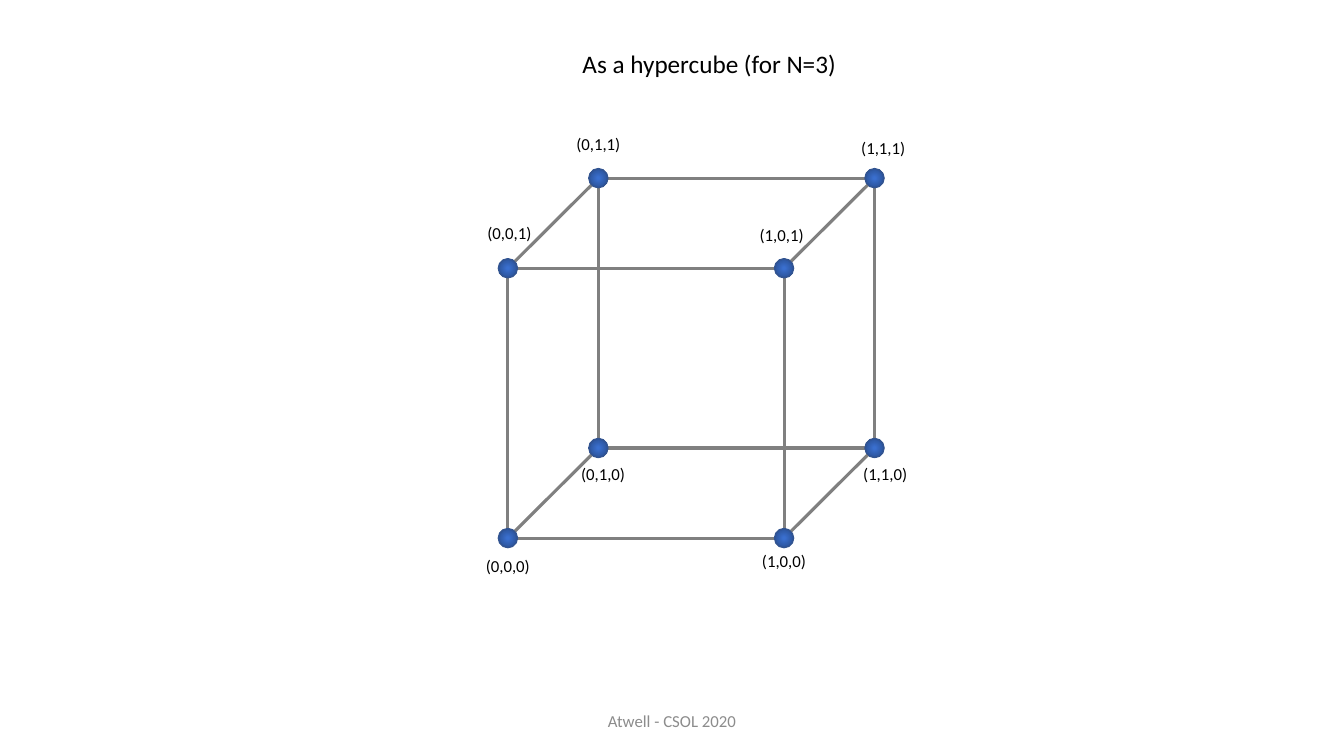
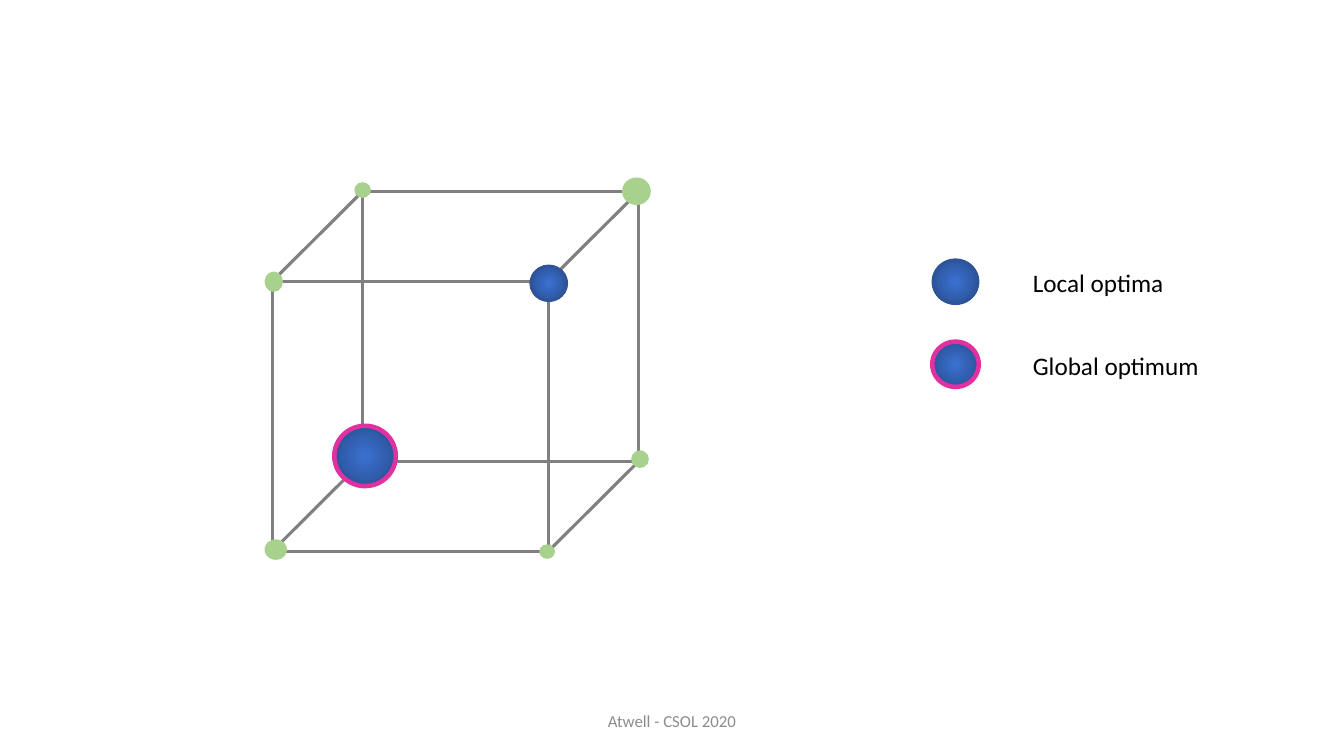
import itertools

import lxml.etree
import pptx
import pptx.dml.color
import pptx.enum.shapes
import pptx.enum.text
import pptx.oxml.ns
import pptx.util

Cm = pptx.util.Cm
Pt = pptx.util.Pt
qn = pptx.oxml.ns.qn
ALIGN = pptx.enum.text.PP_ALIGN
ANCHOR = pptx.enum.text.MSO_ANCHOR

FONT = "Calibri"
COLOURS = {
    "text": "000000",
    "footer": "8C8C8C",
    "edge": "808080",
    "optimum line": "325491",
    "global line": "E130A0",
    "ordinary": "A9D18E",
}
OPTIMUM_GRADIENT = [(9, "3A6FCE"), (50, "315EAD"), (100, "23427A")]

# Cube geometry in centimetres: the step along each axis on the slide
AXIS_STEPS = [(6.96, 0), (2.28, -2.27), (0, -6.8)]
VERTICES = list(itertools.product((0, 1), repeat=3))

# Offset of each label's centre from its vertex
LABEL_OFFSETS = {
    (0, 0, 0): (0, 0.69),
    (1, 0, 0): (0, 0.58),
    (0, 1, 0): (0.12, 0.66),
    (1, 1, 0): (0.27, 0.66),
    (0, 0, 1): (0.04, -0.89),
    (1, 0, 1): (-0.06, -0.84),
    (0, 1, 1): (0, -0.86),
    (1, 1, 1): (0.22, -0.76),
}

# Kind, width, height and offset from the vertex
FITNESS_DOTS = {
    (0, 0, 0): ("ordinary", 0.53, 0.48, 0.09, -0.04),
    (1, 0, 0): ("ordinary", 0.36, 0.33, -0.03, 0.01),
    (0, 1, 0): ("global", 1.55, 1.52, 0.06, -0.13),
    (1, 1, 0): ("ordinary", 0.41, 0.41, 0.03, -0.05),
    (0, 0, 1): ("ordinary", 0.43, 0.48, 0.04, 0.01),
    (1, 0, 1): ("local", 0.94, 0.91, 0.01, 0.05),
    (0, 1, 1): ("ordinary", 0.38, 0.36, 0, -0.03),
    (1, 1, 1): ("ordinary", 0.69, 0.66, -0.06, 0),
}


def colour(name):
    return pptx.dml.color.RGBColor.from_string(COLOURS[name])


def add_text(slide, text, left, top, width, height, size=12, name="text",
             align=ALIGN.LEFT, anchor=ANCHOR.TOP, wrap=False):
    box = slide.shapes.add_textbox(Cm(left), Cm(top), Cm(width), Cm(height))
    frame = box.text_frame
    frame.word_wrap = wrap
    frame.vertical_anchor = anchor
    paragraph = frame.paragraphs[0]
    paragraph.alignment = align
    run = paragraph.add_run()
    run.text = text
    run.font.name = FONT
    run.font.size = Pt(size)
    run.font.color.rgb = colour(name)


def add_footer(slide):
    add_text(slide, "Atwell - CSOL 2020", 11.22, 17.66, 11.43, 1.01,
             name="footer", align=ALIGN.CENTER, anchor=ANCHOR.MIDDLE, wrap=True)


def add_edge(slide, start, end):
    line = slide.shapes.add_connector(
        pptx.enum.shapes.MSO_CONNECTOR.STRAIGHT, *map(Cm, start + end))
    line.line.color.rgb = colour("edge")
    line.line.width = Pt(2.25)
    lxml.etree.SubElement(line._element.spPr, qn("a:effectLst"))


def fill_radial(shape, stops):
    """Fill the shape with a gradient running out from its centre."""
    shape.fill.gradient()
    gradient = shape._element.spPr.find(qn("a:gradFill"))
    for child in list(gradient):
        gradient.remove(child)
    stop_list = lxml.etree.SubElement(gradient, qn("a:gsLst"))
    for percent, value in stops:
        stop = lxml.etree.SubElement(stop_list, qn("a:gs"), pos=str(percent * 1000))
        lxml.etree.SubElement(stop, qn("a:srgbClr"), val=value)
    circle = lxml.etree.SubElement(gradient, qn("a:path"), path="circle")
    lxml.etree.SubElement(circle, qn("a:fillToRect"),
                          dict.fromkeys("ltrb", "50000"))


def add_dot(slide, kind, centre, width, height):
    """Draw an ordinary point, a local optimum or the global optimum."""
    x, y = centre
    dot = slide.shapes.add_shape(
        pptx.enum.shapes.MSO_SHAPE.OVAL,
        Cm(x - width / 2), Cm(y - height / 2), Cm(width), Cm(height))
    dot.shadow.inherit = False
    if kind == "ordinary":
        dot.fill.solid()
        dot.fill.fore_color.rgb = colour("ordinary")
    else:
        fill_radial(dot, OPTIMUM_GRADIENT)
    line_names = {"ordinary": "ordinary", "local": "optimum line",
                  "global": "global line"}
    dot.line.color.rgb = colour(line_names[kind])
    dot.line.width = Pt(3.25 if kind == "global" else 1)


def shift(point, offset):
    return point[0] + offset[0], point[1] + offset[1]


def add_cube(slide, origin):
    """Draw the twelve edges and return the place of each vertex."""
    places = {}
    for vertex in VERTICES:
        place = origin
        for bit, step in zip(vertex, AXIS_STEPS):
            if bit:
                place = shift(place, step)
        places[vertex] = place
    for first, second in itertools.combinations(VERTICES, 2):
        if sum(a != b for a, b in zip(first, second)) == 1:
            add_edge(slide, places[first], places[second])
    return places


def build_hypercube(slide):
    places = add_cube(slide, (12.8, 13.56))
    for place in places.values():
        add_dot(slide, "local", place, 0.48, 0.48)
    width, height = 1.65, 0.76
    for vertex, offset in LABEL_OFFSETS.items():
        x, y = shift(places[vertex], offset)
        label = "({},{},{})".format(*vertex)
        add_text(slide, label, x - width / 2, y - height / 2, width, height,
                 align=ALIGN.CENTER)
    add_text(slide, "As a hypercube (for N=3)", 14.43, 1.09, 6.98, 1.02, size=18)


def build_landscape(slide):
    places = add_cube(slide, (6.86, 13.89))
    for vertex, (kind, width, height, *offset) in FITNESS_DOTS.items():
        add_dot(slide, kind, shift(places[vertex], offset), width, height)
    legend = [("local", "Local optima", 3.84), ("global", "Global optimum", 4.75)]
    for row, (kind, label, width) in enumerate(legend):
        y = 7.1 + 2.08 * row
        add_dot(slide, kind, (24.08, y), 1.17, 1.14)
        add_text(slide, label, 25.78, y - 0.48, width, 1.02, size=18)


def main():
    presentation = pptx.Presentation()
    presentation.slide_width = Cm(33.87)
    presentation.slide_height = Cm(19.05)
    for build in (build_hypercube, build_landscape):
        slide = presentation.slides.add_slide(presentation.slide_layouts[6])
        build(slide)
        add_footer(slide)
    presentation.save("out.pptx")


if __name__ == "__main__":
    main()
